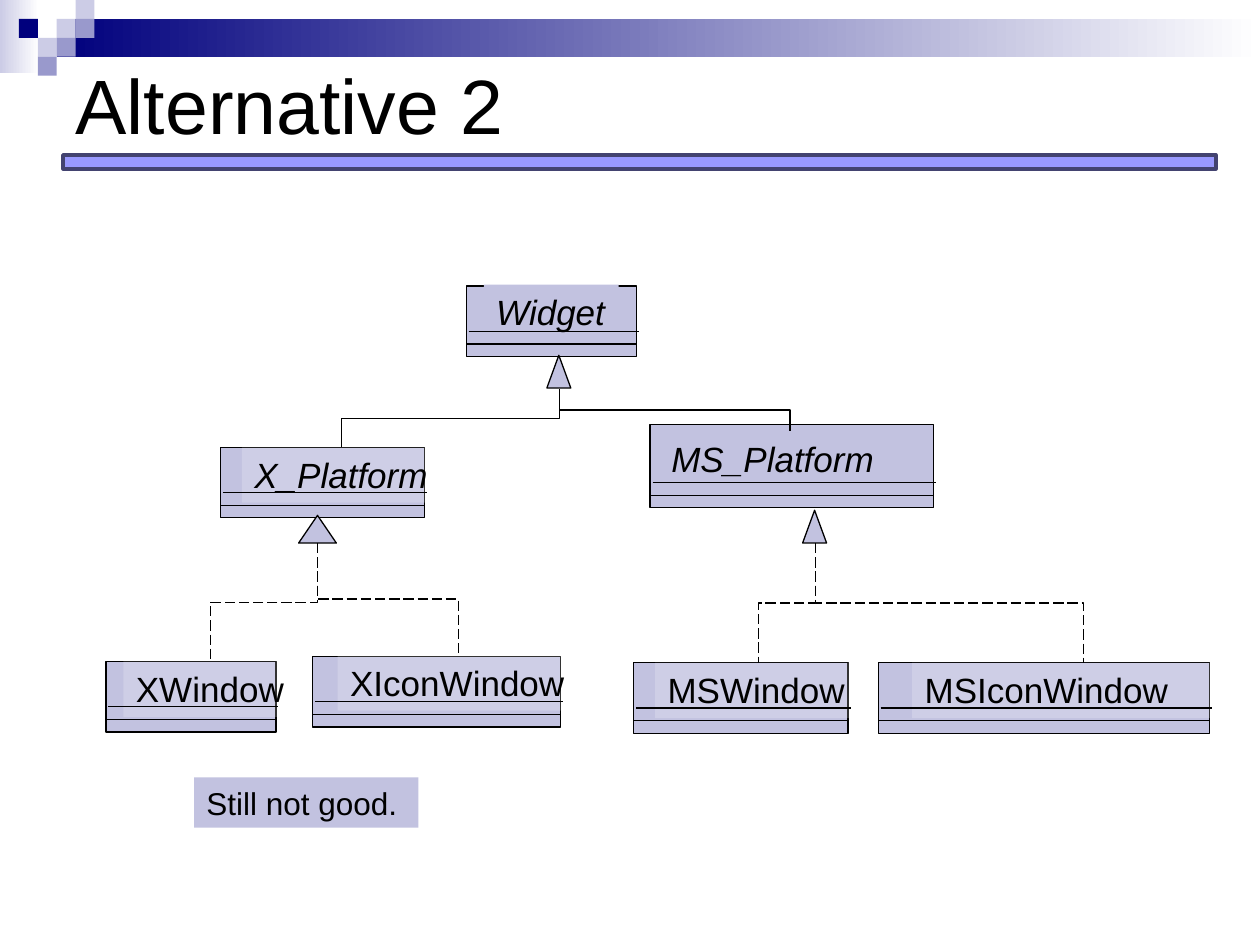
from dataclasses import dataclass

from lxml import etree
from pptx import Presentation
from pptx import util as u
from pptx.dml.color import RGBColor
from pptx.enum import dml, shapes, text
from pptx.oxml import ns


@dataclass(frozen=True)
class Theme:
    font: str = "Arial"
    ink: str = "000000"
    white: str = "FFFFFF"
    box: str = "C2C2E0"
    navy: str = "00007D"
    pale: str = "CCCCE6"
    mid: str = "9999CC"
    rule: str = "9999FF"
    rule_edge: str = "434370"
    title_size: int = 44
    name_size: int = 20
    note_size: int = 18
    thin: float = 0.75


THEME = Theme()
RECT = shapes.MSO_SHAPE.RECTANGLE
TRIANGLE = shapes.MSO_SHAPE.ISOSCELES_TRIANGLE


def apply_format(target, values):
    for name, value in values.items():
        setattr(target, name, value)


def rgb(color):
    return RGBColor.from_string(color)


def inches(*lengths):
    return [u.Inches(length) for length in lengths]


def draw_shape(parent, kind, at, fill, edge=None, width=THEME.thin):
    """Add a preset shape; a pair of colours as fill makes a gradient."""
    shape = parent.add_shape(kind, *inches(*at))
    shape.shadow.inherit = False
    if isinstance(fill, tuple):
        shape.fill.gradient()
        shape.fill.gradient_angle = 0
        for stop, color in zip(shape.fill.gradient_stops, fill):
            stop.color.rgb = rgb(color)
    else:
        shape.fill.solid()
        shape.fill.fore_color.rgb = rgb(fill)
    if edge:
        apply_format(shape.line, {"width": u.Pt(width)})
        shape.line.color.rgb = rgb(edge)
    else:
        shape.line.fill.background()
    return shape


def write_text(shape, words, size, italic=False):
    paragraph = shape.text_frame.paragraphs[0]
    paragraph.alignment = text.PP_ALIGN.LEFT
    run = paragraph.add_run()
    run.text = words
    apply_format(run.font, {"name": THEME.font, "size": u.Pt(size), "italic": italic})
    run.font.color.rgb = rgb(THEME.ink)


def draw_label(parent, words, at, size, fill, italic=False, wrap=False):
    label = draw_shape(parent, RECT, at, fill)
    apply_format(label.text_frame, {
        "word_wrap": wrap,
        "auto_size": text.MSO_AUTO_SIZE.SHAPE_TO_FIT_TEXT,
        "vertical_anchor": text.MSO_ANCHOR.TOP,
    })
    write_text(label, words, size, italic)
    return label


def draw_line(parent, kind, start, end, dashed=False):
    line = parent.add_connector(kind, *inches(*start, *end))
    line.line.width = u.Pt(THEME.thin)
    line.line.color.rgb = rgb(THEME.ink)
    if dashed:
        line.line.dash_style = dml.MSO_LINE.LONG_DASH
    etree.SubElement(line._element.spPr, ns.qn("a:effectLst"))
    return line


def draw_branch(parent, start, end, dashed=False):
    """Elbow that leaves downwards: a turned box with its sides swapped."""
    (x1, y1), (x2, y2) = start, end
    across, down = abs(x2 - x1), y2 - y1
    left = (x1 + x2 - down) / 2
    top = (y1 + y2 - across) / 2
    branch = draw_line(parent, shapes.MSO_CONNECTOR.ELBOW,
                       (left, top), (left + down, top + across), dashed)
    xfrm = branch._element.spPr.find(ns.qn("a:xfrm"))
    turn = {"rot": "5400000"} if x2 < x1 else {"rot": "16200000", "flipH": "1"}
    for name, value in turn.items():
        xfrm.set(name, value)


def draw_class(parent, name, at, label_at, tinted=True, italic=False, wrap=False):
    """Class box: name on top, two compartment lines near the bottom."""
    left, top, width, height = at
    group = parent.add_group_shape().shapes
    draw_shape(group, RECT, at, THEME.box, THEME.ink)
    label = draw_label(group, name, (*label_at, 0.44), THEME.name_size,
                       THEME.white if tinted else THEME.box, italic, wrap)
    if tinted:
        color = label.fill._xPr.find(ns.qn("a:solidFill"))[0]
        etree.SubElement(color, ns.qn("a:alpha")).set("val", "20000")
    for shift, rise in ((0.02, 0.2), (0, 0.1)):
        x, y = left + shift, top + height - rise
        draw_line(group, shapes.MSO_CONNECTOR.STRAIGHT, (x, y), (x + width, y))


def draw_header(slide):
    # Gradient bands, checker squares and the rule below the title
    draw_shape(slide.shapes, RECT, (0, 0, 0.31, 0.58), (THEME.pale, THEME.white))
    draw_shape(slide.shapes, RECT, (0.45, 0.15, 9.55, 0.3), (THEME.navy, THEME.white))
    squares = [
        (3, 1, THEME.pale), (4, 0, THEME.pale), (4, 1, THEME.mid),
        (2, 2, THEME.pale), (1, 1, THEME.navy), (3, 2, THEME.mid), (2, 3, THEME.mid),
    ]
    side = 0.15
    for column, row, color in squares:
        draw_shape(slide.shapes, RECT, (column * side, row * side, side, side), color)
    draw_shape(slide.shapes, RECT, (0.5, 1.23, 9.15, 0.11),
               THEME.rule, THEME.rule_edge, 2)


def set_title(slide, words):
    title = slide.shapes.title
    left, top, width, height = inches(0.5, 0.07, 9, 1.5)
    apply_format(title, {"left": left, "top": top, "width": width, "height": height})
    title.text_frame.vertical_anchor = text.MSO_ANCHOR.MIDDLE
    write_text(title, words, THEME.title_size)


def draw_hierarchy(slide):
    # Classes: name, box, label (left, top, width), options
    classes = [
        ("X_Platform", (1.75, 3.55, 1.62, 0.56), (1.92, 3.55, 1.59), {"italic": True}),
        ("XWindow", (0.84, 5.25, 1.35, 0.56), (0.98, 5.25, 1.39), {}),
        ("MS_Platform", (5.16, 3.37, 2.25, 0.66), (5.23, 3.42, 2.07),
         {"italic": True, "tinted": False, "wrap": True}),
        ("XIconWindow", (2.48, 5.21, 1.97, 0.56), (2.68, 5.2, 1.92), {}),
        ("MSIconWindow", (6.97, 5.26, 2.63, 0.56), (7.24, 5.26, 2.73), {}),
        ("MSWindow", (5.03, 5.26, 1.7, 0.56), (5.2, 5.26, 1.64), {"wrap": True}),
        ("Widget", (3.7, 2.27, 1.35, 0.56), (3.84, 2.26, 1.07),
         {"italic": True, "tinted": False}),
    ]
    for name, at, label_at, options in classes:
        draw_class(slide.shapes, name, at, label_at, **options)

    # Inheritance: triangle, its foot, ends of the branches, dashed
    families = [
        ((4.34, 2.82, 0.19, 0.26), (4.44, 3.09), [(6.27, 3.42), (2.71, 3.55)], False),
        ((2.37, 4.09, 0.3, 0.22), (2.52, 4.31), [(1.67, 5.25), (3.64, 5.2)], True),
        ((6.37, 4.05, 0.19, 0.26), (6.47, 4.31), [(6.02, 5.26), (8.6, 5.26)], True),
    ]
    for triangle, foot, children, dashed in families:
        draw_shape(slide.shapes, TRIANGLE, triangle, THEME.box, THEME.ink)
        for child in children:
            draw_branch(slide.shapes, foot, child, dashed)


def main():
    deck = Presentation()
    deck.slide_width, deck.slide_height = inches(10, 7.5)
    slide = deck.slides.add_slide(deck.slide_layouts[5])
    draw_header(slide)
    set_title(slide, "Alternative 2")
    draw_hierarchy(slide)
    # Verdict
    draw_label(slide.shapes, "Still not good.", (1.54, 6.17, 1.78, 0.4),
               THEME.note_size, THEME.box)
    deck.save("out.pptx")


if __name__ == "__main__":
    main()
